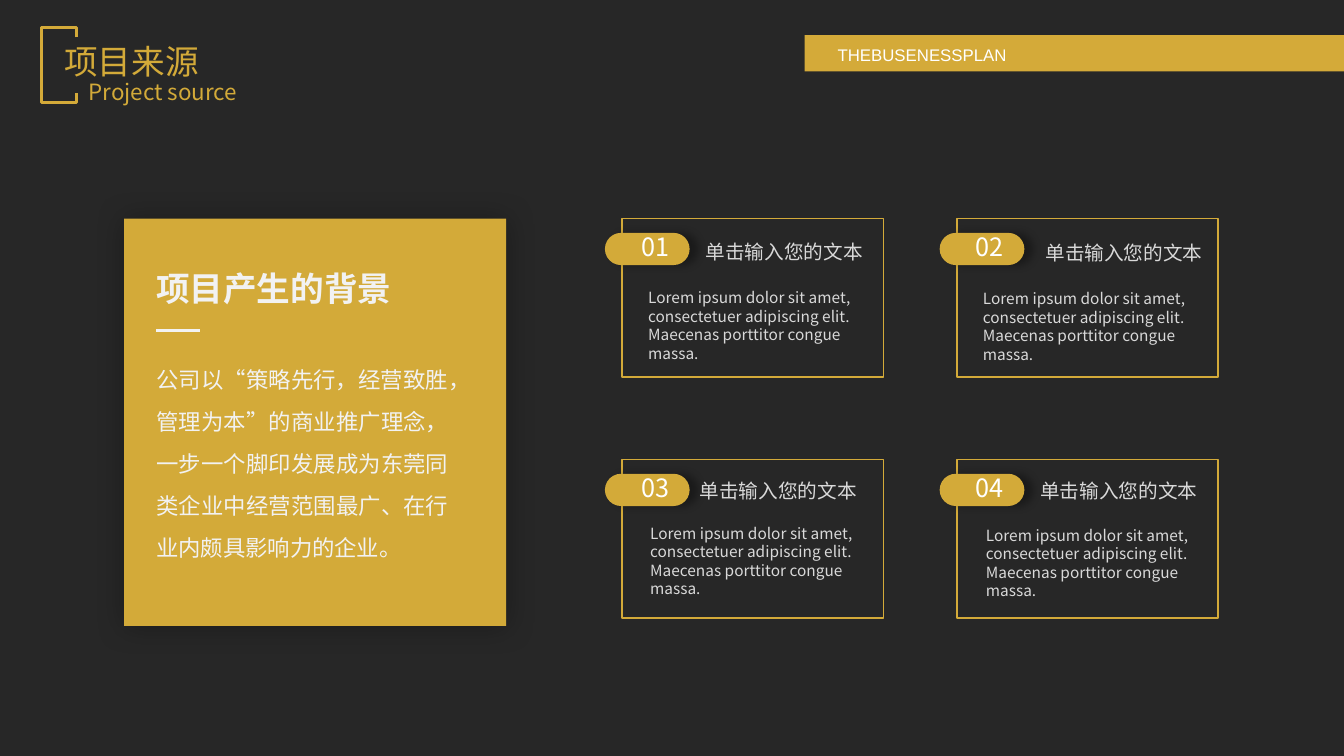
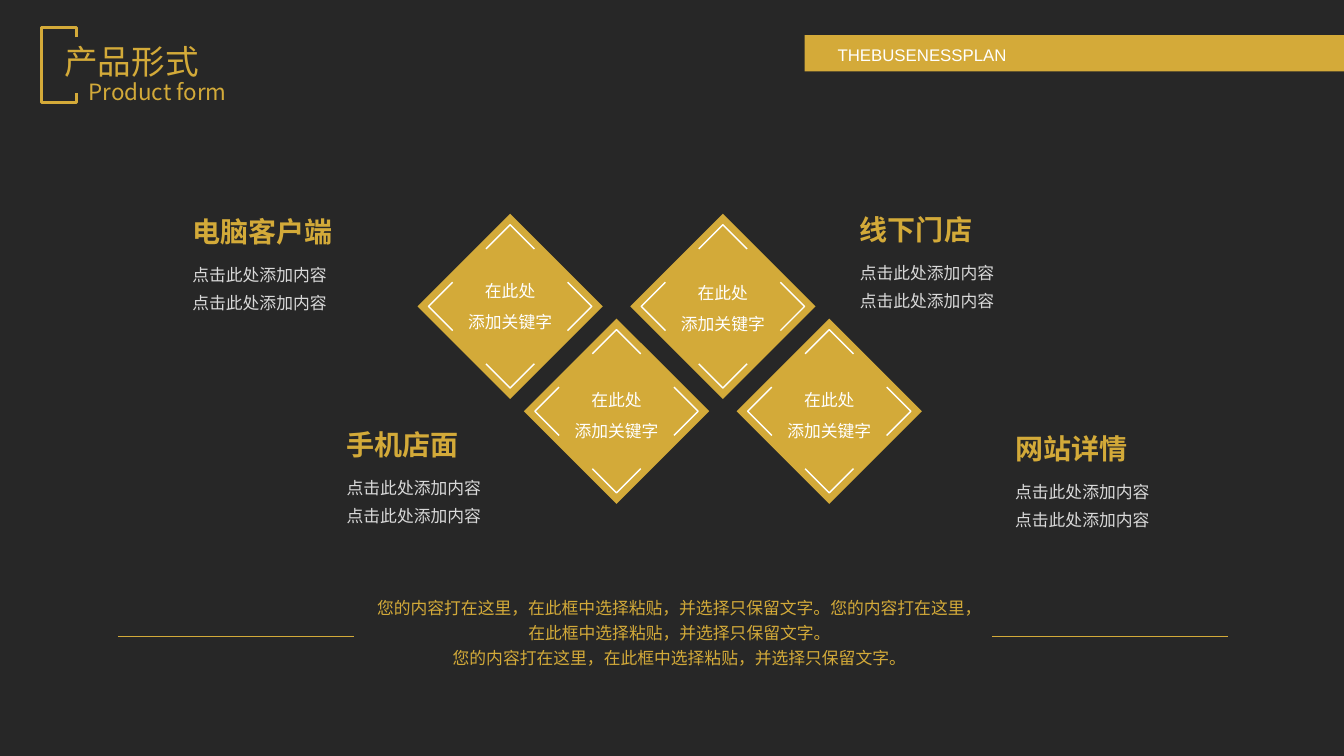
from dataclasses import dataclass
from typing import NamedTuple, Optional, Union

from lxml import etree
from pptx import Presentation
from pptx.dml.color import RGBColor
from pptx.enum.shapes import MSO_CONNECTOR, MSO_SHAPE
from pptx.enum.text import MSO_AUTO_SIZE, PP_ALIGN
from pptx.oxml.ns import qn
from pptx.shapes.autoshape import Shape
from pptx.slide import Slide
from pptx.util import Inches, Pt

RECTANGLE, PILL = MSO_SHAPE.RECTANGLE, MSO_SHAPE.ROUNDED_RECTANGLE
STRAIGHT = MSO_CONNECTOR.STRAIGHT
LEFT, CENTER, JUSTIFY = PP_ALIGN.LEFT, PP_ALIGN.CENTER, PP_ALIGN.JUSTIFY
GROW = MSO_AUTO_SIZE.SHAPE_TO_FIT_TEXT


@dataclass(frozen=True)
class Theme:
    width: float = 13.33
    height: float = 7.5
    background: str = "272727"
    band: str = "D4AA39"
    gold: str = "D3AA39"
    white: str = "FFFFFF"
    pale: str = "F2F2F2"
    grey: str = "D9D9D9"
    font: str = "Noto Sans CJK SC"
    band_font: str = "Arial"
    title: int = 24
    topic: int = 20
    badge: int = 18
    lead: int = 16
    card_heading: int = 14
    body: int = 12
    small: int = 11
    bold_line: float = 2.25
    thin_line: float = 1
    hairline: float = 0.5


THEME = Theme()


class Box(NamedTuple):
    left: float
    top: float
    width: float
    height: float


class Point(NamedTuple):
    x: float
    y: float


class Shadow(NamedTuple):
    opacity: int
    blur: float
    distance: float


@dataclass(frozen=True)
class TextStyle:
    size: int
    color: str
    bold: bool = False
    align: PP_ALIGN = LEFT
    spacing: Optional[Union[float, Pt]] = None
    font: str = THEME.font
    wrap: bool = True


@dataclass(frozen=True)
class Card:
    """A grid cell; offsets run from the corner of the frame."""
    column: int
    row: int
    heading: Point
    blurb: Point


@dataclass(frozen=True)
class Diamond:
    step: int
    label_rise: float


@dataclass(frozen=True)
class Topic:
    title: str
    left: float
    top: float


CARD_ORIGIN, CARD_PITCH = Point(6.17, 2.17), Point(3.32, 2.39)
CARDS = (
    Card(0, 0, Point(0.73, 0.16), Point(0.16, 0.64)),
    Card(1, 0, Point(0.78, 0.17), Point(0.16, 0.65)),
    Card(0, 1, Point(0.67, 0.14), Point(0.18, 0.59)),
    Card(1, 1, Point(0.73, 0.14), Point(0.19, 0.61)),
)
CARD_HEADING = "单击输入您的文本"
CARD_BLURB = ("Lorem ipsum dolor sit amet, consectetuer adipiscing elit. "
              "Maecenas porttitor congue massa.")
BACKGROUND_STORY = ("公司以“策略先行，经营致胜，管理为本”的商业推广理念，"
                    "一步一个脚印发展成为东莞同类企业中经营范围最广、"
                    "在行业内颇具影响力的企业。")

DIAMOND_ORIGIN, DIAMOND_PITCH = Point(5.06, 3.04), Point(1.055, 1.04)
DIAMOND_SIDE, CORNER_REACH, CORNER_ARM = 1.3, 0.81, 0.24
DIAMONDS = (Diamond(0, 0.4), Diamond(2, 0.38), Diamond(1, 0.36), Diamond(3, 0.36))
TOPICS = (
    Topic("线下门店", 8.43, 2.06),
    Topic("网站详情", 9.97, 4.23),
    Topic("手机店面", 3.34, 4.19),
    Topic("电脑客户端", 1.81, 2.08),
)
TOPIC_DETAIL = "点击此处添加内容\n点击此处添加内容"
KEYWORD = "在此处\n添加关键字"
PROMPT = "您的内容打在这里，在此框中选择粘贴，并选择只保留文字。"
SUMMARY = f"{PROMPT}{PROMPT}\n{PROMPT}"


def rgb(color: str) -> RGBColor:
    return RGBColor.from_string(color)


def add_text(slide: Slide, box: Box, text: str, style: TextStyle,
             side_inset: float = 0.1) -> None:
    textbox = slide.shapes.add_textbox(*map(Inches, box))
    frame = textbox.text_frame
    frame.word_wrap = style.wrap
    frame.auto_size = GROW
    frame.margin_left = frame.margin_right = Inches(side_inset)
    frame.text = text
    for paragraph in frame.paragraphs:
        paragraph.alignment = style.align
        if style.spacing is not None:
            paragraph.line_spacing = style.spacing
        for run in paragraph.runs:
            run.font.size = Pt(style.size)
            run.font.bold = style.bold
            run.font.name = style.font
            run.font.color.rgb = rgb(style.color)
    for properties in textbox.element.iter(qn("a:rPr")):
        etree.SubElement(properties, qn("a:ea"), typeface=style.font)


def paint(shape: Shape, fill: Optional[str] = None, line: Optional[str] = None,
          weight: float = THEME.thin_line) -> None:
    """Apply fill and outline, leaving out whichever is not given."""
    shape.shadow.inherit = False
    if fill:
        shape.fill.solid()
        shape.fill.fore_color.rgb = rgb(fill)
    else:
        shape.fill.background()
    if line:
        shape.line.color.rgb = rgb(line)
        shape.line.width = Pt(weight)
    else:
        shape.line.fill.background()


def add_block(slide: Slide, box: Box, fill: Optional[str] = None,
              line: Optional[str] = None, kind: MSO_SHAPE = RECTANGLE) -> Shape:
    block = slide.shapes.add_shape(kind, *map(Inches, box))
    paint(block, fill, line)
    return block


def cast_shadow(shape: Shape, shadow: Shadow) -> None:
    effects = shape.element.spPr.find(qn("a:effectLst"))
    outer = etree.SubElement(
        effects, qn("a:outerShdw"), blurRad=str(Pt(shadow.blur)),
        dist=str(Pt(shadow.distance)), dir="0", algn="ctr", rotWithShape="0")
    black = etree.SubElement(outer, qn("a:srgbClr"), val="000000")
    etree.SubElement(black, qn("a:alpha"), val=str(shadow.opacity * 1000))


def add_open_outline(slide: Slide, points: list[Point], color: str, weight: float,
                     fill: Optional[str] = None) -> None:
    start, *rest = [(Inches(point.x), Inches(point.y)) for point in points]
    builder = slide.shapes.build_freeform(*start)
    builder.add_line_segments(rest, close=False)
    paint(builder.convert_to_shape(), fill, color, weight)


def add_rule(slide: Slide, left: float, right: float, y: float, color: str,
             weight: float) -> None:
    rule = slide.shapes.add_connector(
        STRAIGHT, Inches(left), Inches(y), Inches(right), Inches(y))
    rule.line.color.rgb = rgb(color)
    rule.line.width = Pt(weight)
    etree.SubElement(rule.element.spPr, qn("a:effectLst"))


def add_page(prs: Presentation, title: str, subtitle: str) -> Slide:
    """Add a slide with the band, the title bracket and both titles."""
    slide = prs.slides.add_slide(prs.slide_layouts[6])
    add_block(slide, Box(7.98, 0.35, THEME.width - 7.98, 0.36), THEME.band)
    add_text(slide, Box(8.21, 0.39, 4.9, 0.3), "THEBUSENESSPLAN",
             TextStyle(THEME.body, THEME.white, align=JUSTIFY, font=THEME.band_font))
    left, right, top, bottom, hook = 0.41, 0.76, 0.27, 1.02, 0.1
    bracket = [Point(right, top + hook), Point(right, top), Point(left, top),
               Point(left, bottom), Point(right, bottom), Point(right, bottom - hook)]
    add_open_outline(slide, bracket, THEME.band, THEME.bold_line)
    add_text(slide, Box(0.54, 0.36, 2.59, 0.5), title, TextStyle(THEME.title, THEME.gold))
    add_text(slide, Box(0.78, 0.73, 2.17, 0.37), subtitle,
             TextStyle(THEME.lead, THEME.gold))
    return slide


def add_background_panel(slide: Slide) -> None:
    panel = add_block(slide, Box(1.23, 2.17, 3.79, 4.04), THEME.gold)
    cast_shadow(panel, Shadow(29, 21, 0))
    add_rule(slide, 1.55, 1.98, 3.28, THEME.pale, THEME.bold_line)
    add_text(slide, Box(1.45, 2.61, 3.1, 0.5), "项目产生的背景",
             TextStyle(THEME.title, THEME.pale, bold=True))
    add_text(slide, Box(1.45, 3.43, 3.1, 2.2), BACKGROUND_STORY,
             TextStyle(THEME.lead, THEME.pale, align=JUSTIFY, spacing=Pt(30)))


def add_card(slide: Slide, number: int, card: Card) -> None:
    left = CARD_ORIGIN.x + card.column * CARD_PITCH.x
    top = CARD_ORIGIN.y + card.row * CARD_PITCH.y
    add_block(slide, Box(left, top, 2.59, 1.57), line=THEME.gold)
    badge = add_block(slide, Box(left - 0.17, top + 0.14, 0.84, 0.32),
                      THEME.gold, kind=PILL)
    badge.adjustments[0] = 0.5
    cast_shadow(badge, Shadow(32, 6, 6))
    add_text(slide, Box(left + 0.09, top + 0.08, 0.5, 0.4), f"{number:02d}",
             TextStyle(THEME.badge, THEME.white, wrap=False))
    add_text(slide, Box(left + card.heading.x, top + card.heading.y, 1.77, 0.34),
             CARD_HEADING, TextStyle(THEME.card_heading, THEME.grey, wrap=False))
    add_text(slide, Box(left + card.blurb.x, top + card.blurb.y, 2.34, 0.84),
             CARD_BLURB, TextStyle(THEME.small, THEME.grey))


def add_diamond(slide: Slide, diamond: Diamond) -> None:
    x = DIAMOND_ORIGIN.x + diamond.step * DIAMOND_PITCH.x
    y = DIAMOND_ORIGIN.y + diamond.step % 2 * DIAMOND_PITCH.y
    half = DIAMOND_SIDE / 2
    tile = add_block(slide, Box(x - half, y - half, DIAMOND_SIDE, DIAMOND_SIDE), THEME.gold)
    tile.rotation = 45
    inner = CORNER_REACH - CORNER_ARM
    for dx, dy in ((0, -1), (1, 0), (0, 1), (-1, 0)):
        corner = [Point(x + dx * reach - dy * arm, y + dy * reach + dx * arm)
                  for reach, arm in ((inner, CORNER_ARM), (CORNER_REACH, 0),
                                     (inner, -CORNER_ARM))]
        add_open_outline(slide, corner, THEME.white, THEME.thin_line, THEME.gold)
    add_text(slide, Box(x - 0.42, y - diamond.label_rise, 0.84, 0.67), KEYWORD,
             TextStyle(THEME.body, THEME.white, align=CENTER, spacing=1.5, wrap=False),
             side_inset=0)


def add_topic(slide: Slide, topic: Topic) -> None:
    add_text(slide, Box(topic.left, topic.top + 0.42, 2.33, 0.63), TOPIC_DETAIL,
             TextStyle(THEME.body, THEME.grey, spacing=Pt(20)))
    add_text(slide, Box(topic.left, topic.top, 2.71, 0.44), topic.title,
             TextStyle(THEME.topic, THEME.gold, bold=True))


def add_summary(slide: Slide) -> None:
    add_text(slide, Box(3.64, 5.83, 6.2, 1.11), SUMMARY,
             TextStyle(THEME.body, THEME.gold, align=CENTER, spacing=1.25))
    for left in (1.17, 9.84):
        add_rule(slide, left, left + 2.34, 6.31, THEME.gold, THEME.hairline)


def main() -> None:
    prs = Presentation()
    prs.slide_width, prs.slide_height = Inches(THEME.width), Inches(THEME.height)
    backdrop = prs.slide_master.background.fill
    backdrop.solid()
    backdrop.fore_color.rgb = rgb(THEME.background)

    source = add_page(prs, "项目来源", "Project source")
    add_background_panel(source)
    for number, card in enumerate(CARDS, start=1):
        add_card(source, number, card)

    product = add_page(prs, "产品形式", "Product form")
    for diamond in DIAMONDS:
        add_diamond(product, diamond)
    for topic in TOPICS:
        add_topic(product, topic)
    add_summary(product)
    prs.save("out.pptx")


if __name__ == "__main__":
    main()
